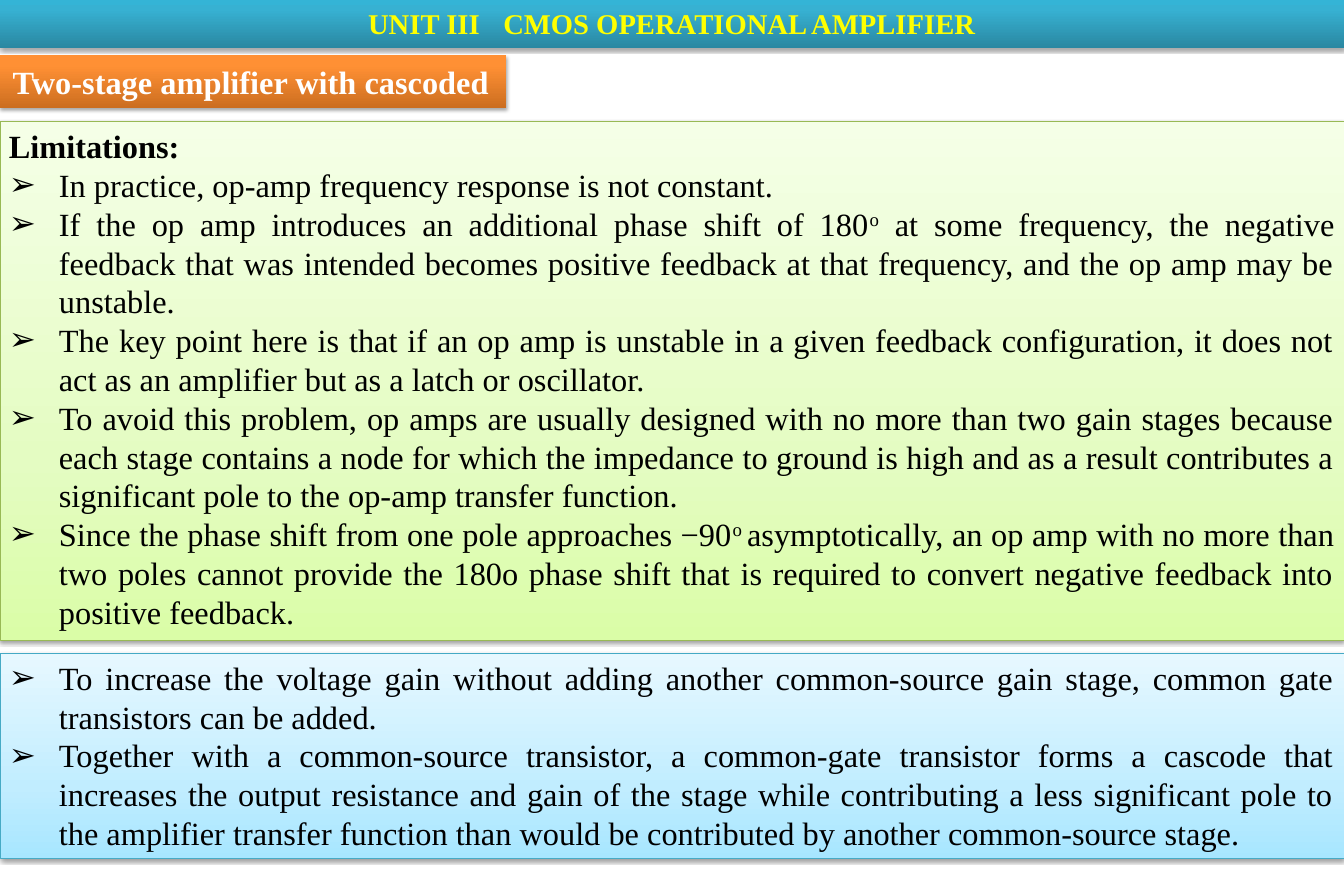
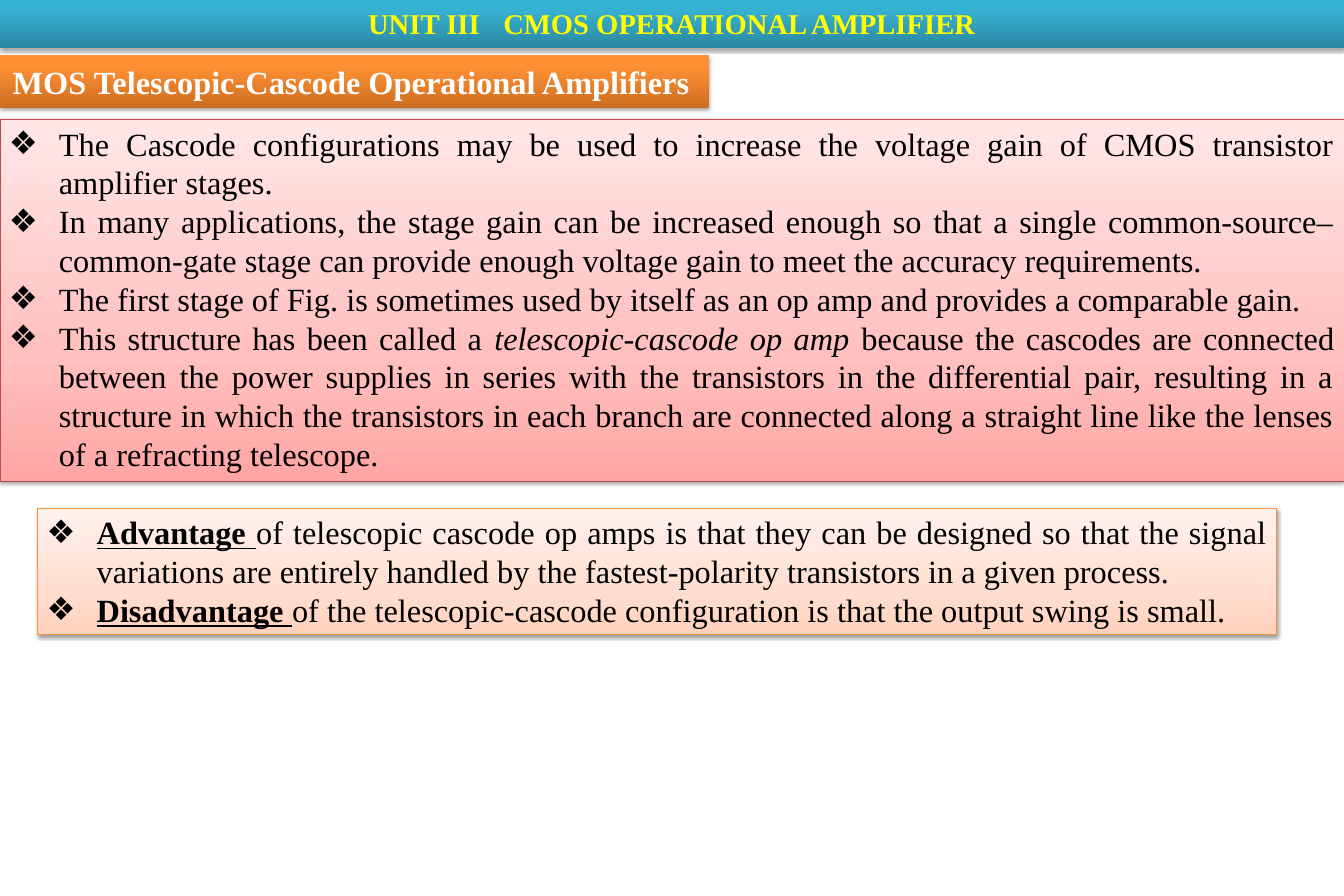
"""Two lecture slides on cascoded and telescopic CMOS amplifiers."""
from dataclasses import dataclass

from lxml import etree
from pptx import Presentation
from pptx.dml.color import RGBColor
from pptx.enum import shapes, text
from pptx.oxml.ns import qn
from pptx.util import Cm, Pt


@dataclass(frozen=True)
class Skin:
    """Gradient stops, outline and shadow of a panel."""
    stops: tuple
    line: str = ""
    alpha: int = 38000
    drop: float = 1.6


@dataclass(frozen=True)
class Theme:
    """Colours, type sizes and measures shared by the slides."""
    font: str = "Times New Roman"
    ink: str = "000000"
    white: str = "FFFFFF"
    gold: str = "FFFF00"
    small: int = 23
    large: int = 26
    width: float = 38.1
    height: float = 25.4
    indent: float = 1.42
    tab: float = 3.63
    blur: float = 3.1
    pad: tuple = (0.36, 0.18)
    inset: tuple = (0.25, 0.13)
    teal: Skin = Skin(((0, "2A88A2"), (80, "37B1D2"), (100, "34B4D6")), "", 35000, 1.8)
    orange: Skin = Skin(((0, "CC6E20"), (80, "FF9034"), (100, "FF9136")), "", 35000, 1.8)
    green: Skin = Skin(((0, "DAFDA7"), (35, "E4FCC2"), (100, "F5FFE7")), "98B955")
    blue: Skin = Skin(((0, "A7E6FF"), (35, "C1EDFF"), (100, "E7F8FF")), "46AAC5")
    red: Skin = Skin(((0, "FFA6A5"), (35, "FFC0BF"), (100, "FFE7E7")), "BF4C48")
    peach: Skin = Skin(((0, "FFD2BD"), (35, "FFDED0"), (100, "FFF2ED")), "F69240")


T = Theme()
UNIT = "UNIT III\t CMOS OPERATIONAL AMPLIFIER"
ARROW, GEM = "➢", "❖"

SLIDES = (
    ("Two-stage amplifier with cascoded", 14.35, (
        ((0, 3.45, T.width, 14.71), T.green, ARROW, (
            (("Limitations:", "b"),),
            "In practice, op-amp frequency response is not constant.",
            (("If the op amp introduces an additional phase shift of 180", ""), ("o", "s"),
             (" at some frequency, the negative feedback that was intended becomes positive "
              "feedback at that frequency, and the op amp may be unstable.", "")),
            "The key point here is that if an op amp is unstable in a given feedback "
            "configuration, it does not act as an amplifier but as a latch or oscillator.",
            "To avoid this problem, op amps are usually designed with no more than two gain "
            "stages because each stage contains a node for which the impedance to ground is "
            "high and as a result contributes a significant pole to the op-amp transfer function.",
            (("Since the phase shift from one pole approaches −90", ""), ("o ", "s"),
             ("asymptotically, an op amp with no more than two poles cannot provide the 180o "
              "phase shift that is required to convert negative feedback into positive "
              "feedback.", "")),
        )),
        ((0, 18.52, T.width, 5.82), T.blue, ARROW, (
            "To increase the voltage gain without adding another common-source gain stage, "
            "common gate transistors can be added.",
            "Together with a common-source transistor, a common-gate transistor forms a cascode "
            "that increases the output resistance and gain of the stage while contributing a "
            "less significant pole to the amplifier transfer function than would be contributed "
            "by another common-source stage.",
        )),
    )),
    ("MOS Telescopic-Cascode Operational Amplifiers", 20.09, (
        ((0, 3.38, T.width, 10.26), T.red, GEM, (
            "The Cascode configurations may be used to increase the voltage gain of CMOS "
            "transistor amplifier stages.",
            "In many applications, the stage gain can be increased enough so that a single "
            "common-source–common-gate stage can provide enough voltage gain to meet the "
            "accuracy requirements.",
            "The first stage of Fig. is sometimes used by itself as an op amp and provides a "
            "comparable gain.",
            (("This structure has been called a ", ""), ("telescopic-cascode op amp ", "i"),
             ("because the cascodes are connected between the power supplies in series with "
              "the transistors in the differential pair, resulting in a structure in which the "
              "transistors in each branch are connected along a straight line like the lenses "
              "of a refracting telescope.", "")),
        )),
        ((1.07, 14.4, 35.13, 3.58), T.peach, GEM, (
            (("Advantage ", "bu"),
             ("of telescopic cascode op amps is that they can be designed so that the signal "
              "variations are entirely handled by the fastest-polarity transistors in a given "
              "process.", "")),
            (("Disadvantage ", "bu"),
             ("of the telescopic-cascode configuration is that the output swing is small.", "")),
        )),
    )),
)


def child(parent, tag, **attrs):
    """Append a drawing element with attributes."""
    node = etree.SubElement(parent, qn("a:" + tag))
    for key, value in attrs.items():
        node.set(key, str(value))
    return node


def panel(shape, box, skin, pad):
    """Place and paint a shape, and return its text frame."""
    shape.left, shape.top, shape.width, shape.height = map(Cm, box)
    shape.fill.gradient()
    shape.fill.gradient_angle = 90
    props = shape.element.spPr
    stops = props.find(".//" + qn("a:gsLst"))
    for old in list(stops):
        stops.remove(old)
    for place, hue in skin.stops:
        child(child(stops, "gs", pos=place * 1000), "srgbClr", val=hue)
    if skin.line:
        shape.line.color.rgb = RGBColor.from_string(skin.line)
        shape.line.width = Pt(0.75)
    else:
        shape.line.fill.background()
    shape.shadow.inherit = False
    cast = child(props.find(qn("a:effectLst")), "outerShdw", blurRad=Pt(T.blur),
                 dist=Pt(skin.drop), dir=5400000, rotWithShape=0)
    child(child(cast, "srgbClr", val=T.ink), "alpha", val=skin.alpha)
    frame = shape.text_frame
    frame.word_wrap = True
    frame.auto_size = text.MSO_AUTO_SIZE.NONE
    frame.vertical_anchor = text.MSO_ANCHOR.TOP
    frame.margin_left = frame.margin_right = Cm(pad[0])
    frame.margin_top = frame.margin_bottom = Cm(pad[1])
    return frame


def style(para, size, hue, align, bold=None):
    """Set the alignment, spacing and font of a paragraph."""
    para.alignment = align
    para.space_before = Pt(0)
    font = para.font
    font.name, font.size, font.bold = T.font, Pt(size), bold
    font.color.rgb = RGBColor.from_string(hue)


def band(slide, box):
    """Draw the unit band across the top."""
    shape = slide.shapes.add_shape(shapes.MSO_SHAPE.RECTANGLE, 0, 0, 0, 0)
    para = panel(shape, box, T.teal, T.pad).paragraphs[0]
    para.text = UNIT
    tabs = child(para._p.get_or_add_pPr(), "tabLst")
    child(tabs, "tab", pos=Cm(T.tab), algn="l")
    style(para, T.small, T.gold, text.PP_ALIGN.CENTER, True)


def title(shape, box, words):
    """Fill the title tag."""
    frame = panel(shape, box, T.orange, T.pad)
    frame.word_wrap = False
    para = frame.paragraphs[0]
    para.text = words
    style(para, T.large, T.white, text.PP_ALIGN.LEFT, True)


def write(para, runs):
    """Add runs marked b, i, u or s for superscript."""
    for words, marks in runs:
        run = para.add_run()
        run.text = words
        if "b" in marks:
            run.font.bold = True
        if "i" in marks:
            run.font.italic = True
        if "u" in marks:
            run.font.underline = True
        if "s" in marks:
            run._r.get_or_add_rPr().set("baseline", "30000")


def points(shape, box, skin, mark, items):
    """Fill a panel with a list; an all-bold item has no bullet."""
    frame = panel(shape, box, skin, T.inset)
    for rank, item in enumerate(items):
        para = frame.add_paragraph() if rank else frame.paragraphs[0]
        runs = ((item, ""),) if isinstance(item, str) else item
        props = para._p.get_or_add_pPr()
        props.set("marL", str(Cm(T.indent)))
        props.set("indent", str(-Cm(T.indent)))
        if all(marks == "b" for _, marks in runs):
            child(props, "buNone")
        else:
            child(props, "buChar", char=mark)
        write(para, runs)
        style(para, T.large, T.ink, text.PP_ALIGN.JUSTIFY)


def build(deck, words, width, panels):
    """Add one slide with its title, unit band and lists."""
    slide = deck.slides.add_slide(deck.slide_layouts.get_by_name("Two Content"))
    head, *bodies = slide.placeholders
    title(head, (0, 1.57, width, 1.48), words)
    band(slide, (0, 0, T.width, 1.35))
    for body, parts in zip(bodies, panels):
        points(body, *parts)


def main():
    """Build and save the deck."""
    deck = Presentation()
    deck.slide_width, deck.slide_height = Cm(T.width), Cm(T.height)
    for parts in SLIDES:
        build(deck, *parts)
    deck.save("out.pptx")


if __name__ == "__main__":
    main()
